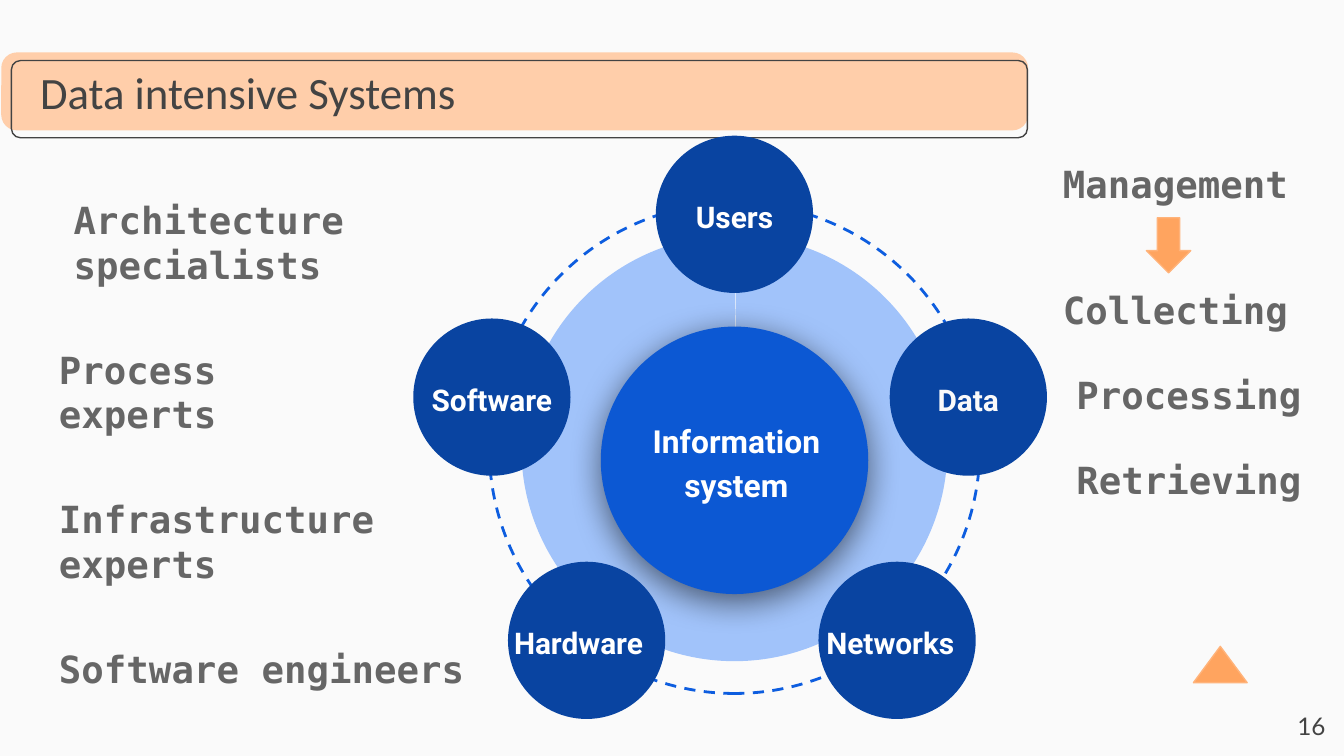
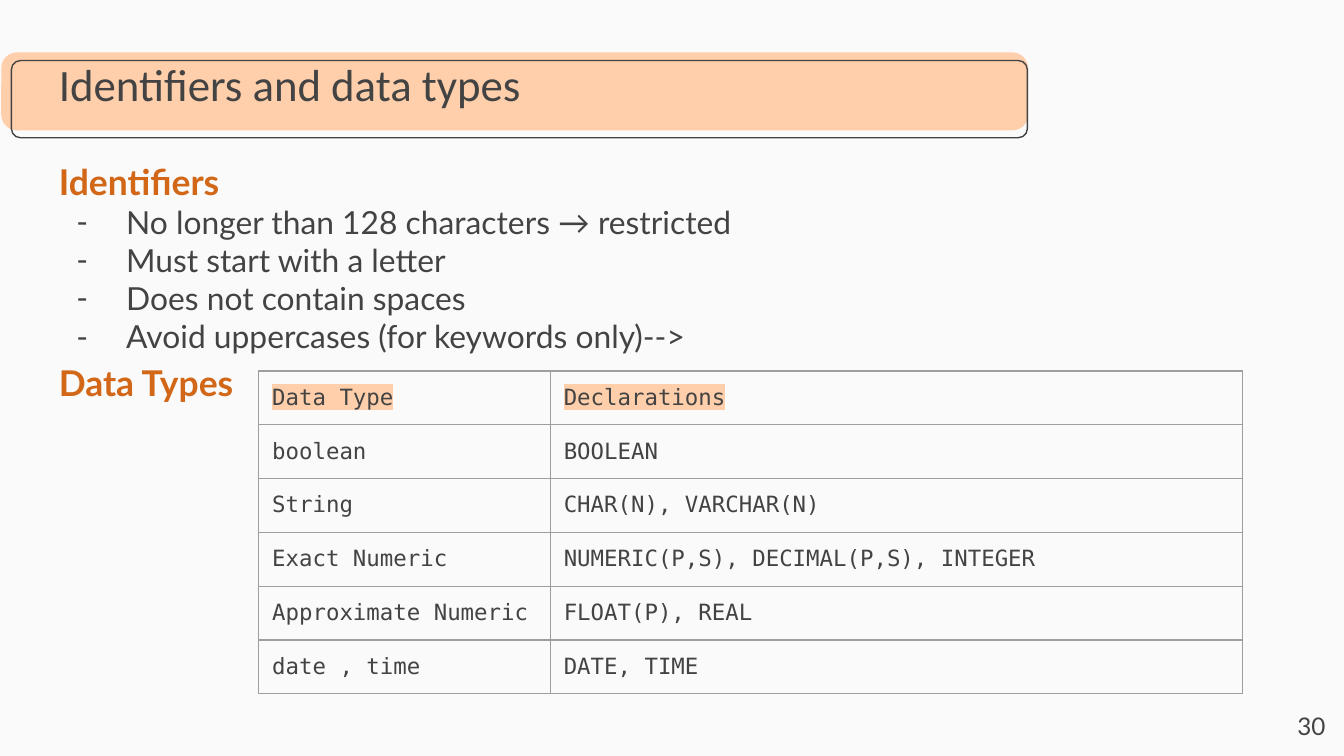
from dataclasses import dataclass

from lxml import etree
from pptx import Presentation
from pptx.dml.color import RGBColor
from pptx.enum.dml import MSO_LINE
from pptx.enum.shapes import MSO_SHAPE
from pptx.enum.text import MSO_ANCHOR, PP_ALIGN
from pptx.oxml.ns import qn
from pptx.util import Inches, Pt

ROUNDED = MSO_SHAPE.ROUNDED_RECTANGLE
OVAL, PIE = MSO_SHAPE.OVAL, MSO_SHAPE.PIE
DOWN_ARROW, TRIANGLE = MSO_SHAPE.DOWN_ARROW, MSO_SHAPE.ISOSCELES_TRIANGLE
DASH = MSO_LINE.DASH
TOP, MIDDLE = MSO_ANCHOR.TOP, MSO_ANCHOR.MIDDLE
LEFT, CENTER, RIGHT = PP_ALIGN.LEFT, PP_ALIGN.CENTER, PP_ALIGN.RIGHT

PAPER = RGBColor(0xFA, 0xFA, 0xFA)
WHITE = RGBColor(0xFF, 0xFF, 0xFF)
BLACK = RGBColor(0x00, 0x00, 0x00)
INK = RGBColor(0x43, 0x43, 0x43)
GREY = RGBColor(0x66, 0x66, 0x66)
RULE = RGBColor(0x9E, 0x9E, 0x9E)
PEACH = RGBColor(0xFF, 0xCE, 0xAA)
ORANGE = RGBColor(0xFF, 0xA4, 0x5F)
ORANGE_EDGE = RGBColor(0xFF, 0xB3, 0x7A)
RUST = RGBColor(0xD1, 0x67, 0x17)
RING_BLUE = RGBColor(0x0D, 0x5D, 0xDF)
PALE_BLUE = RGBColor(0xA1, 0xC3, 0xFA)
CORE_BLUE = RGBColor(0x0C, 0x58, 0xD3)
NODE_BLUE = RGBColor(0x09, 0x44, 0xA1)

TITLE_FONT, BODY_FONT = "Calibri", "Lato"
MONO_FONT, WHEEL_FONT = "DejaVu Sans Mono", "Roboto"

WIDTH = Inches(10)
HEIGHT = WIDTH * 9 // 16
COLUMNS, ROWS = 100, 56.25
COL, ROW = WIDTH / COLUMNS, HEIGHT / ROWS


@dataclass
class Box:
    x: float
    y: float
    w: float
    h: float

    def inner(self, x, y, w, h):
        return Box(self.x + x, self.y + y, w, h)

    def around(self, dx, dy, w, h):
        return self.inner(self.w / 2 + dx - w / 2, self.h / 2 + dy - h / 2, w, h)

    def emu(self):
        return (round(self.x * COL), round(self.y * ROW),
                round(self.w * COL), round(self.h * ROW))


PAGE = Box(0, 0, COLUMNS, ROWS)


def add_shape(s, kind, box, fill=None, line=None, width=0.75, adjust=()):
    sp = s.shapes.add_shape(kind, *box.emu())
    sp.shadow.inherit = False
    for i, value in enumerate(adjust):
        sp.adjustments[i] = value
    if fill is None:
        sp.fill.background()
    else:
        sp.fill.solid()
        sp.fill.fore_color.rgb = fill
    if line is None:
        sp.line.fill.background()
    else:
        sp.line.color.rgb = line
        sp.line.width = Pt(width)
    return sp


def add_run(p, text, size, font, color, bold=False, highlight=None):
    r = p.add_run()
    r.text = text
    r.font.size = Pt(size)
    r.font.bold = bold
    r.font.color.rgb = color
    if highlight is not None:
        mark = etree.SubElement(r.font._element, qn("a:highlight"))
        etree.SubElement(mark, qn("a:srgbClr"), val=str(highlight))
    r.font.name = font


def add_frame(s, box, anchor=TOP):
    tf = s.shapes.add_textbox(*box.emu()).text_frame
    tf.word_wrap = True
    tf.vertical_anchor = anchor
    tf.margin_left = tf.margin_right = tf.margin_top = tf.margin_bottom = Inches(0.1)
    return tf


def add_text(s, box, lines, size, font, color, bold=False, highlight=None,
             align=LEFT, anchor=TOP, spacing=None):
    p = add_frame(s, box, anchor).paragraphs[0]
    p.alignment = align
    p.line_spacing = spacing
    for i, line in enumerate(lines):
        if i:
            p.add_line_break()
        add_run(p, line, size, font, color, bold, highlight)


def add_page(prs, title, title_box, title_anchor, number):
    s = prs.slides.add_slide(prs.slide_layouts[6])
    s.background.fill.solid()
    s.background.fill.fore_color.rgb = PAPER
    add_shape(s, ROUNDED, PAGE.inner(0.1, 3.9, 76.4, 5.8), PEACH, adjust=[0.2])
    add_shape(s, ROUNDED, PAGE.inner(0.85, 4.5, 75.6, 5.75), line=INK, adjust=[0.12])
    add_text(s, title_box, [title], 24, TITLE_FONT, INK, anchor=title_anchor)
    add_text(s, PAGE.inner(93.6, 51.95, 6, 4.3), [str(number)], 13, BODY_FONT, INK,
             align=RIGHT)
    return s


def add_shadow(sp, color, alpha, blur, distance, angle):
    effects = sp._element.spPr.find(qn("a:effectLst"))
    shadow = etree.SubElement(effects, qn("a:outerShdw"), blurRad=str(Pt(blur)),
                              dist=str(Pt(distance)), dir=str(angle * 60000),
                              algn="bl", rotWithShape="0")
    tone = etree.SubElement(shadow, qn("a:srgbClr"), val=str(color))
    etree.SubElement(tone, qn("a:alpha"), val=str(alpha * 1000))


def add_wheel(s, box):
    ring = add_shape(s, OVAL, box.around(0, 0, 36.5, 36.5), line=RING_BLUE, width=1.5)
    ring.line.dash_style = DASH
    ring.rotation = 270
    add_shape(s, PIE, box.around(0, 0, 31.7, 31.7), PALE_BLUE,
              adjust=[162.33, 162.15])
    core = add_shape(s, OVAL, box.around(0, 0.9, 19.9, 19.9), CORE_BLUE)
    add_shadow(core, BLACK, 55, 18, 4, 90)

    def label(dx, dy, w, h, text, size, color=WHITE):
        add_text(s, box.around(dx, dy, w, h), [text], size, WHEEL_FONT, color, True,
                 align=CENTER, anchor=MIDDLE, spacing=1.15)

    label(0.15, 0.9, 15, 9, "Information system", 17)
    nodes = [
        ("Users", 0, -17.4, 0, 13.1, WHITE),
        ("Hardware", -11, 14.3, -0.6, 11.7, WHITE),
        ("Software", -18.05, -3.8, 0, 11.7, WHITE),
        ("Data", 17.4, -3.8, 0, 8.3, PAPER),
        ("Networks", 12.1, 14.3, -0.5, 11.7, WHITE),
    ]
    for name, dx, dy, shift, width, color in nodes:
        add_shape(s, OVAL, box.around(dx, dy, 11.7, 11.7), NODE_BLUE)
        label(dx + shift, dy, width, 8, name, 16, color)


def add_captions(s, box, captions):
    for x, y, width, lines in captions:
        add_text(s, box.inner(x, y, width, 4.1), lines, 20, MONO_FONT, GREY,
                 True, PAPER)


def add_roles(s, box):
    add_captions(s, box, [
        (1.1, 0, box.w, ["Architecture", "specialists"]),
        (0, 11.1, box.w, ["Process", "experts"]),
        (0, 22.2, box.w, ["Infrastructure", "experts"]),
        (0, 33.4, box.w, ["Software engineers"]),
    ])


def add_activities(s, box):
    add_captions(s, box, [
        (0, 0, 20.9, ["Management"]),
        (0, 9.4, 19.2, ["Collecting"]),
        (1, 15.7, 19.9, ["Processing"]),
        (1, 22, 20.9, ["Retrieving"]),
    ])
    add_shape(s, DOWN_ARROW, box.inner(7.2, 5.2, 3.3, 4.1), ORANGE, ORANGE_EDGE)
    add_shape(s, TRIANGLE, box.inner(10.7, 37.1, 4, 2.7), ORANGE, ORANGE_EDGE)


def build_systems(prs):
    s = add_page(prs, "Data intensive Systems", PAGE.inner(2, 4.2, 68.3, 5.3),
                 MIDDLE, 16)
    add_wheel(s, PAGE.inner(36.4, 15.1, 36.5, 36.5))
    add_activities(s, PAGE.inner(78.1, 11, 21.9, 40))
    add_roles(s, PAGE.inner(3.4, 13.7, 41.5, 38))


def add_bullet(p):
    pPr = p._p.get_or_add_pPr()
    pPr.set("marL", str(Inches(0.5)))
    pPr.set("indent", str(Inches(-0.37)))
    tone = etree.SubElement(pPr, qn("a:buClr"))
    etree.SubElement(tone, qn("a:srgbClr"), val=str(INK))
    etree.SubElement(pPr, qn("a:buFont"), typeface=BODY_FONT)
    etree.SubElement(pPr, qn("a:buChar"), char="-")


def add_rules(s, box):
    tf = add_frame(s, box)
    add_run(tf.paragraphs[0], "Identifiers", 19, BODY_FONT, RUST, True, PAPER)
    for rule in ("No longer than 128 characters → restricted",
                 "Must start with a letter",
                 "Does not contain spaces",
                 "Avoid uppercases (for keywords only)-->"):
        p = tf.add_paragraph()
        add_bullet(p)
        add_run(p, rule, 17, BODY_FONT, INK)
    p = tf.add_paragraph()
    p.line_spacing = 1.15
    add_run(p, "Data Types", 19, BODY_FONT, RUST, True, PAPER)


def add_borders(cell):
    tcPr = cell._tc.get_or_add_tcPr()
    for side in ("a:lnL", "a:lnR", "a:lnT", "a:lnB"):
        line = etree.SubElement(tcPr, qn(side), w=str(Pt(0.75)))
        fill = etree.SubElement(line, qn("a:solidFill"))
        etree.SubElement(fill, qn("a:srgbClr"), val=str(RULE))


def add_types_table(s, box):
    rows = [
        ("Data Type", "Declarations"),
        ("boolean", "BOOLEAN"),
        ("String", "CHAR(N), VARCHAR(N)"),
        ("Exact Numeric", "NUMERIC(P,S), DECIMAL(P,S), INTEGER"),
        ("Approximate Numeric", "FLOAT(P), REAL"),
        ("date , time", "DATE, TIME"),
    ]
    table = s.shapes.add_table(len(rows), 2, *box.emu()).table
    table.first_row = table.horz_banding = False
    for column, width in zip(table.columns, (21.7, box.w - 21.7)):
        column.width = round(width * COL)
    for i, row in enumerate(rows):
        for j, text in enumerate(row):
            cell = table.cell(i, j)
            cell.margin_left = cell.margin_right = Inches(0.1)
            cell.margin_top = cell.margin_bottom = Inches(0.1)
            add_borders(cell)
            cell.fill.background()
            add_run(cell.text_frame.paragraphs[0], text, 12, MONO_FONT, INK,
                    highlight=None if i else PEACH)


def build_identifiers(prs):
    s = add_page(prs, "Identifiers and data types", PAGE.inner(3.4, 3.2, 93.2, 8.8),
                 TOP, 30)
    add_rules(s, PAGE.inner(3.4, 10.9, 93.2, 42.6))
    add_types_table(s, PAGE.inner(19.25, 27.6, 73.2, 23.4))


def main():
    prs = Presentation()
    prs.slide_width, prs.slide_height = WIDTH, HEIGHT
    build_systems(prs)
    build_identifiers(prs)
    prs.save("out.pptx")


if __name__ == "__main__":
    main()
